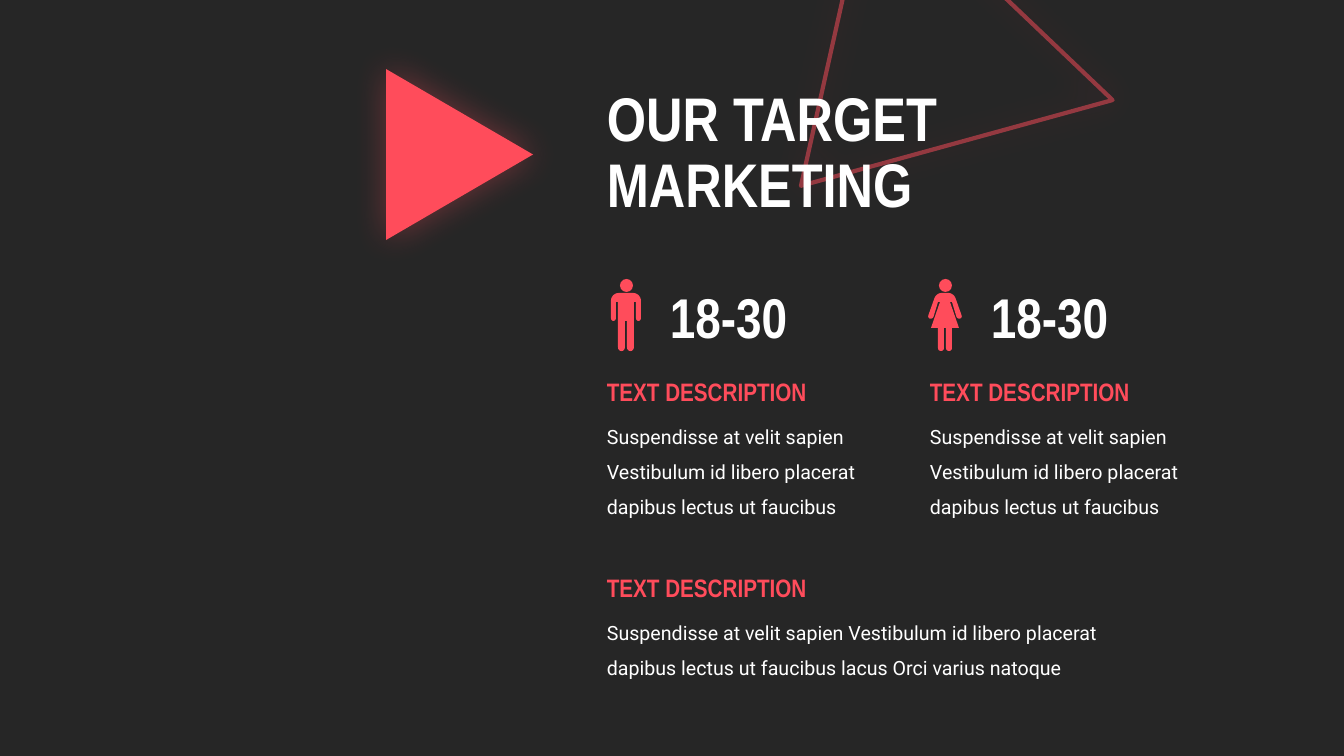
from pptx import Presentation
from pptx.dml.color import RGBColor
from pptx.enum.shapes import MSO_SHAPE as Shape
from pptx.enum.text import MSO_ANCHOR as Anchor, MSO_AUTO_SIZE as AutoSize
from pptx.oxml import parse_xml
from pptx.oxml.ns import nsdecls
from pptx.util import Pt

PX = 12192000 / 1344
CORAL, WHITE, DARK = "FF4C5B", "FFFFFF", "262626"

TITLE = "OUR TARGET\vMARKETING"
HEADING = "TEXT DESCRIPTION"
AGES = "18-30"
BODY = ("Suspendisse at velit sapien Vestibulum id libero placerat "
        "dapibus lectus ut faucibus")
WIDE_BODY = BODY + " lacus Orci varius natoque"

# Right half of each figure, in half px from the middle of the neckline:
# two numbers end a straight line, six numbers end a cubic curve.
MAN = [(0, 0), (14, 0), (23, 0, 30, 7, 30, 16), (30, 50),
       (30, 58, 20, 58, 20, 50), (20, 18), (16, 18), (16, 108),
       (16, 119, 2, 119, 2, 108), (2, 56)]
WOMAN = [(0, 0), (6, 0), (12, 0, 19, 3, 22, 13), (33, 44),
         (36, 52, 26, 54, 23, 48), (14, 18), (10, 18), (28, 70), (14, 70),
         (14, 110), (14, 118, 2, 118, 2, 110), (2, 70)]

# figure, its centre, left of the ages, left of the column
GROUPS = [(MAN, 626, 660, 597), (WOMAN, 945, 981, 920)]
# left, top of heading, body width, body height, body
BLOCKS = [(597, 371, 288, 113, BODY), (920, 371, 288, 113, BODY),
          (597, 567, 517, 78, WIDE_BODY)]

TITLE_STYLE = dict(size=Pt(44), name="Arial Narrow", bold=True)
AGES_STYLE = dict(size=Pt(40), name="Arial Narrow", bold=True)
HEADING_STYLE = dict(size=Pt(18), name="Arial Narrow", bold=True)
BODY_STYLE = dict(size=Pt(14), name="Roboto")

FINE = 10  # drawing steps in each half px
CURVE_STEPS = 8


def px(*lengths):
    return [round(length * PX) for length in lengths]


def rgb(colour):
    return RGBColor.from_string(colour)


def add_text(page, frame, text, style, colour, spacing=1.0, anchor=Anchor.TOP, grow=True):
    box = page.shapes.add_textbox(*px(*frame)).text_frame
    box.word_wrap = True
    box.vertical_anchor = anchor
    box.auto_size = AutoSize.SHAPE_TO_FIT_TEXT if grow else AutoSize.NONE
    box.text = text
    para = box.paragraphs[0]
    para.line_spacing = spacing
    for span in para.runs:
        for key, value in style.items():
            setattr(span.font, key, value)
        span.font.color.rgb = rgb(colour)


def paint(shape):
    shape.shadow.inherit = False
    shape.fill.solid()
    shape.fill.fore_color.rgb = rgb(CORAL)
    shape.line.fill.background()


def add_glow(shape):
    """Give the shape a soft coral shadow all round."""
    shape.shadow.inherit = False
    effects = shape._element.spPr.find(
        "{http://schemas.openxmlformats.org/drawingml/2006/main}effectLst")
    effects.append(parse_xml(
        f'<a:outerShdw {nsdecls("a")} blurRad="{Pt(25)}" dist="0" dir="0" '
        f'algn="ctr" rotWithShape="0"><a:srgbClr val="{CORAL}">'
        '<a:alpha val="35000"/></a:srgbClr></a:outerShdw>'))


def add_triangle(page, frame, rotation):
    triangle = page.shapes.add_shape(Shape.ISOSCELES_TRIANGLE, *px(*frame))
    triangle.rotation = rotation
    return triangle


def outline_points(half):
    """Flatten the curves of a half outline and add its mirror image."""
    points = []
    for step in half:
        if len(step) == 2:
            points.append(step)
            continue
        x0, y0 = points[-1]
        x1, y1, x2, y2, x3, y3 = step
        for index in range(1, CURVE_STEPS + 1):
            t = index / CURVE_STEPS
            u = 1 - t
            weights = (u ** 3, 3 * u * u * t, 3 * u * t * t, t ** 3)
            points.append((sum(w * x for w, x in zip(weights, (x0, x1, x2, x3))),
                           sum(w * y for w, y in zip(weights, (y0, y1, y2, y3)))))
    points += [(-x, y) for x, y in reversed(points[1:])]
    return [(x * FINE, y * FINE) for x, y in points]


def add_figure(page, half, centre):
    group = page.shapes.add_group_shape()
    paint(group.shapes.add_shape(Shape.OVAL, *px(centre - 6, 279, 13, 13)))
    points = outline_points(half)
    builder = group.shapes.build_freeform(*points[0], scale=PX / 2 / FINE)
    builder.add_line_segments(points[1:], close=True)
    paint(builder.convert_to_shape(*px(centre, 293)))


def main():
    deck = Presentation()
    deck.slide_width, deck.slide_height = px(1344, 756)
    page = deck.slides.add_slide(deck.slide_layouts[6])
    page.background.fill.solid()
    page.background.fill.fore_color.rgb = rgb(DARK)

    hollow = add_triangle(page, (730, -53, 333, 277), 223.6)
    hollow.fill.background()
    hollow.line.width = Pt(3)
    hollow.line.color.rgb = rgb(CORAL)
    line_colour = hollow.line.fill._xPr.find(".//{*}srgbClr")
    line_colour.append(parse_xml(f'<a:alpha {nsdecls("a")} val="50000"/>'))
    add_glow(hollow)

    add_text(page, (597, 75, 566, 159), TITLE, TITLE_STYLE, WHITE, 0.9,
             Anchor.MIDDLE, grow=False)

    solid = add_triangle(page, (374, 81, 171, 147), 90)
    paint(solid)
    add_glow(solid)

    for half, centre, ages_left, _ in GROUPS:
        add_figure(page, half, centre)
        add_text(page, (ages_left, 278, 180, 78), AGES, AGES_STYLE, WHITE)
    for left, top, width, height, body in BLOCKS:
        add_text(page, (left, top + 37, width, height), body, BODY_STYLE, WHITE, 1.5)
        add_text(page, (left, top, 247, 40), HEADING, HEADING_STYLE, CORAL)

    deck.save("out.pptx")


if __name__ == "__main__":
    main()
